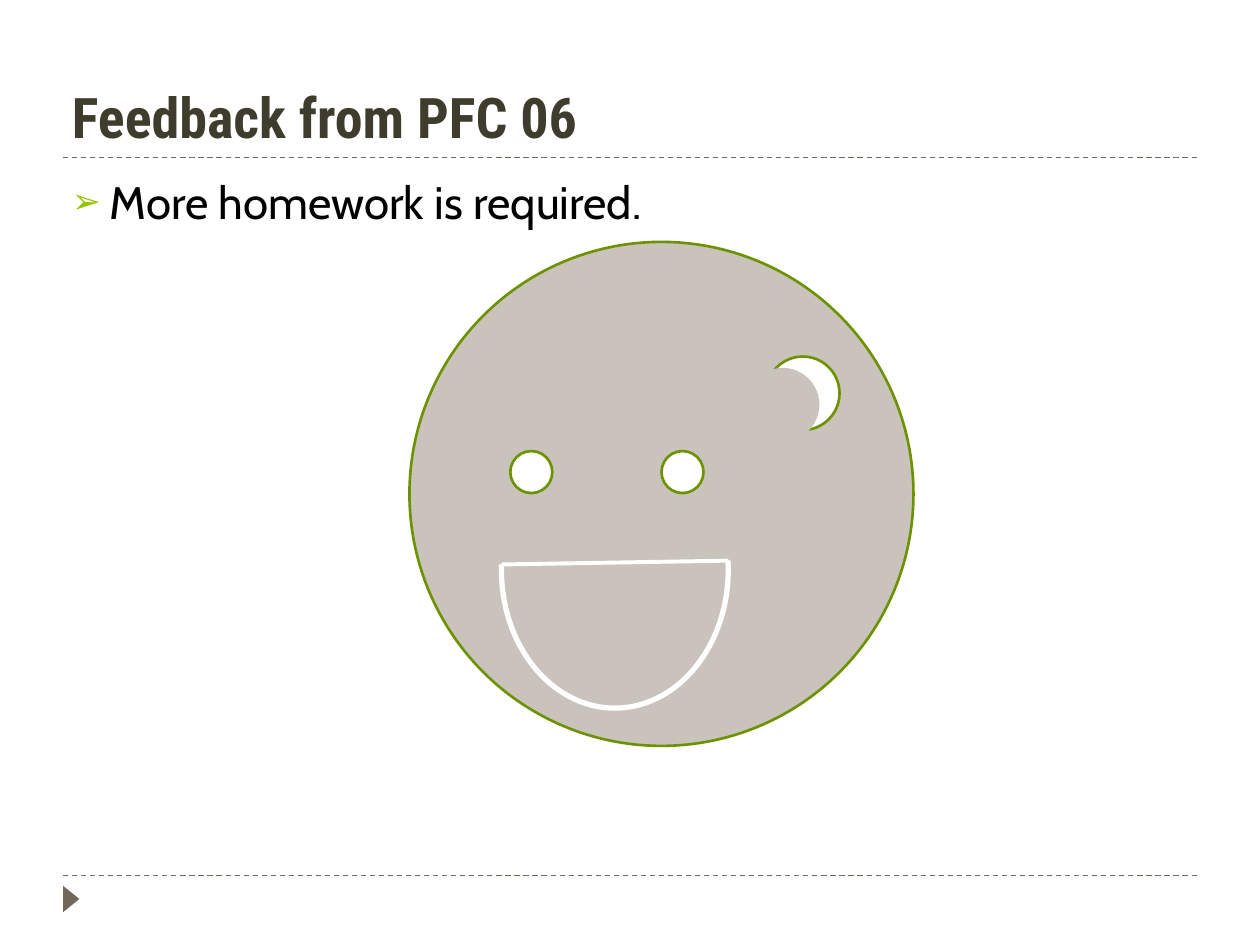
import pptx
import pptx.dml.color
import pptx.enum.dml
import pptx.enum.shapes
import pptx.enum.text
import pptx.oxml
import pptx.oxml.ns
import pptx.util

Pt = pptx.util.Pt
RGBColor = pptx.dml.color.RGBColor
Shape = pptx.enum.shapes.MSO_SHAPE

WHITE = RGBColor(0xFF, 0xFF, 0xFF)
BLACK = RGBColor(0x00, 0x00, 0x00)
TITLE_BROWN = RGBColor(0x3E, 0x3D, 0x2D)
RULE_BROWN = RGBColor(0x71, 0x68, 0x5A)
FACE_GREY = RGBColor(0xC9, 0xC3, 0xBB)
OUTLINE_GREEN = RGBColor(0x6D, 0x92, 0x00)

BULLET_PARTS = (
    '<a:buClr {}><a:srgbClr val="94C600"/></a:buClr>',
    '<a:buSzPct {} val="76000"/>',
    '<a:buChar {} char="➢"/>',
)


def apply_format(target, values):
    """Set every attribute named in values on the target."""
    for name, value in values.items():
        setattr(target, name, value)


def fill_placeholder(box, text, bounds, anchor, font, color):
    """Place and format a one-paragraph placeholder, and return its paragraph."""
    apply_format(box, dict(zip(("left", "top", "width", "height"), map(Pt, bounds))))
    frame = box.text_frame
    apply_format(frame, {
        "text": text,
        "word_wrap": True,
        "vertical_anchor": anchor,
        "auto_size": pptx.enum.text.MSO_AUTO_SIZE.NONE,
    })
    para = frame.paragraphs[0]
    para.alignment = pptx.enum.text.PP_ALIGN.LEFT
    span = para.runs[0]
    apply_format(span.font, font)
    span.font.color.rgb = color
    return para


def add_bullet(para):
    """Give the paragraph a green arrow bullet with a hanging indent."""
    para.space_before = Pt(6)
    properties = para._p.get_or_add_pPr()
    properties.set("marL", str(Pt(21.6)))
    properties.set("indent", str(-Pt(21.6)))
    for part in BULLET_PARTS:
        properties.append(pptx.oxml.parse_xml(part.format(pptx.oxml.ns.nsdecls("a"))))


def add_figure(page, kind, bounds, fill=None, line=None, weight=1.5):
    """Add a preset shape with an optional fill and outline."""
    figure = page.shapes.add_shape(kind, *map(Pt, bounds))
    figure.shadow.inherit = False
    if fill is None:
        figure.fill.background()
    else:
        figure.fill.solid()
        figure.fill.fore_color.rgb = fill
    if line is None:
        figure.line.fill.background()
    else:
        figure.line.color.rgb = line
        figure.line.width = Pt(weight)
    return figure


def add_line(page, start, end, color, weight, dash=None):
    """Add a straight line without a shadow."""
    line = page.shapes.add_connector(
        pptx.enum.shapes.MSO_CONNECTOR.STRAIGHT, *map(Pt, start + end))
    line.line.color.rgb = color
    apply_format(line.line, {"width": Pt(weight), "dash_style": dash})
    effects = f'<a:effectLst {pptx.oxml.ns.nsdecls("a")}/>'
    line._element.spPr.append(pptx.oxml.parse_xml(effects))


def add_frame(page):
    """Draw the dashed rules and the corner marker."""
    for y in (90, 500.4):
        add_line(page, (36, y), (684, y), RULE_BROWN, 0.75,
                 pptx.enum.dml.MSO_LINE.DASH)
    marker = add_figure(page, Shape.ISOSCELES_TRIANGLE,
                        (33.12, 509.04, 15.12, 9.36), RULE_BROWN)
    marker.rotation = 90


def add_face(page):
    """Draw the smiling face with its crescent."""
    add_figure(page, Shape.OVAL, (234, 138.24, 288, 288), FACE_GREY, OUTLINE_GREEN)
    for x in (291.6, 378):
        add_figure(page, Shape.OVAL, (x, 257.76, 24, 24), WHITE, OUTLINE_GREEN)
    mouth = add_figure(page, Shape.ARC, (286.56, 246.96, 129.6, 157.68),
                       line=WHITE, weight=3)
    mouth.adjustments[0] = 213.05
    mouth.adjustments[1] = 109.7
    add_figure(page, Shape.OVAL, (437.76, 203.76, 42, 42), WHITE, OUTLINE_GREEN)
    add_figure(page, Shape.OVAL, (426.24, 210.24, 42, 42), FACE_GREY)
    add_line(page, (286.56, 322.56), (416.16, 320.4), WHITE, 2.25)


def main():
    """Build and save the slide."""
    deck = pptx.Presentation()
    apply_format(deck, {"slide_width": Pt(720), "slide_height": Pt(540)})
    page = deck.slides.add_slide(deck.slide_layouts[1])
    add_frame(page)
    anchors = pptx.enum.text.MSO_ANCHOR
    fill_placeholder(
        page.shapes.title, "Feedback from PFC 06", (33.84, -0.72, 509.76, 90),
        anchors.BOTTOM,
        {"name": "Roboto Condensed", "size": Pt(32), "bold": True}, TITLE_BROWN)
    para = fill_placeholder(
        page.placeholders[1], "More homework is required.",
        (33.84, 95.76, 648, 396), anchors.TOP,
        {"name": "Cabin", "size": Pt(26)}, BLACK)
    add_bullet(para)
    add_face(page)
    deck.save("out.pptx")


if __name__ == "__main__":
    main()
